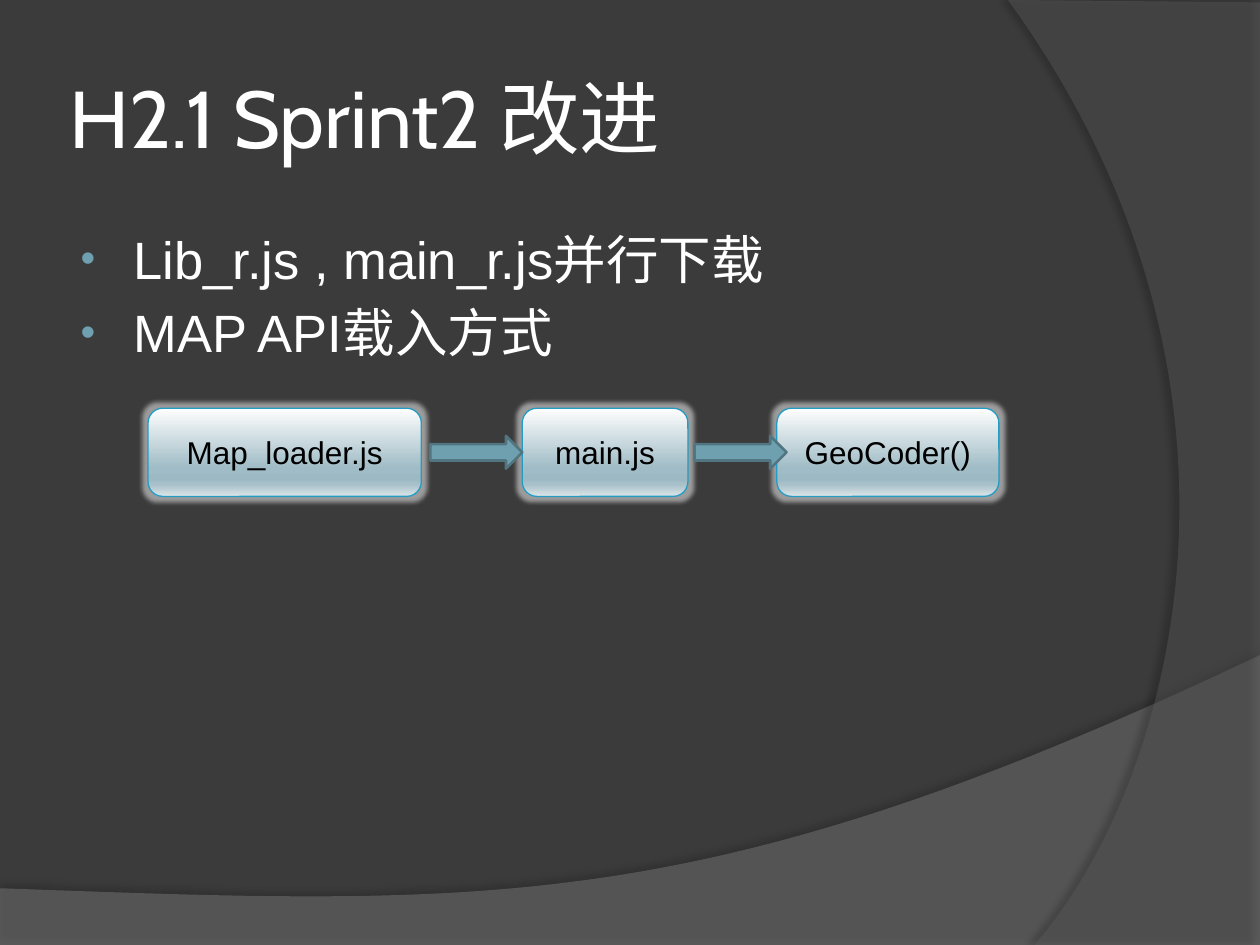
from dataclasses import dataclass

from pptx import Presentation
from pptx.dml.color import RGBColor
from pptx.enum.shapes import MSO_SHAPE as Preset
from pptx.enum.text import MSO_ANCHOR as Anchor, MSO_AUTO_SIZE as AutoSize, PP_ALIGN as Align
from pptx.oxml import parse_xml
from pptx.oxml.ns import nsdecls, qn
from pptx.util import Pt

BACKGROUND = RGBColor(0x3B, 0x3B, 0x3B)
WHITE = RGBColor(0xFF, 0xFF, 0xFF)
BLACK = RGBColor(0, 0, 0)
WAVE_GREY = RGBColor(0x7F, 0x7F, 0x7F)
ARC_GREY = RGBColor(0x5E, 0x5E, 0x5E)
ACCENT = RGBColor(0x6E, 0xA0, 0xB0)
ARROW_LINE = RGBColor(0x51, 0x76, 0x82)
BOX_LINE = RGBColor(0x23, 0x9B, 0xC2)
BOX_STOPS = (
    (0, RGBColor(0xFE, 0xFE, 0xFE)),
    (68, RGBColor(0xA0, 0xBC, 0xC6)),
    (81, RGBColor(0x9C, 0xB9, 0xC4)),
    (86, RGBColor(0xA7, 0xC0, 0xC9)),
    (100, RGBColor(0xDA, 0xE4, 0xE7)),
)
CURVE_STEPS = 60
BOX_TOP, BOX_HEIGHT = 233.3, 50.4
ARROW_TOP, ARROW_WIDTH, ARROW_HEIGHT = 249.1, 52.6, 18.7

Point = tuple[float, float]


@dataclass
class Swoosh:
    """Background area: straight corners, then a Bezier curve back to the start."""
    corners: list[Point]
    curve: tuple[Point, Point, Point]
    color: RGBColor
    opacity: int
    shadow_opacity: int
    shadow_distance: float
    shadow_angle: int


@dataclass
class Box:
    text: str
    left: float
    width: float


SWOOSHES = [
    Swoosh([(0, 540), (720, 540), (720, 374.4)],
           ((402.5, 524.9), (281.5, 517.7), (0, 507.6)), WAVE_GREY, 45, 35, 3.5, 270),
    Swoosh([(720, 1.4), (720, 540), (591.1, 540)],
           ((673.2, 445.7), (733, 216), (576, 0)), ARC_GREY, 40, 45, 4, 180),
]
BOXES = [
    Box("Map_loader.js", 84.6, 156.2),
    Box("main.js", 298.4, 94.7),
    Box("GeoCoder()", 443.9, 126.9),
]
ARROW_LEFTS = [245.9, 396.9]
BULLETS = ["Lib_r.js , main_r.js并行下载", "MAP API载入方式"]


def color_xml(color: RGBColor, opacity: int = 100) -> str:
    return f'<a:srgbClr val="{color}"><a:alpha val="{opacity * 1000}"/></a:srgbClr>'


def set_effect(shape, effect: str) -> None:
    shape.shadow.inherit = False
    effects = shape._element.spPr.find(qn("a:effectLst"))
    effects.append(parse_xml(effect))


def format_font(run, **values) -> None:
    run.font.color.rgb = values.pop("color")
    for name, value in values.items():
        setattr(run.font, name, value)


def place(shape, left: float, top: float, width: float, height: float) -> None:
    values = {"left": left, "top": top, "width": width, "height": height}
    for name, value in values.items():
        setattr(shape, name, Pt(value))


def bezier(start: Point, first: Point, second: Point, end: Point) -> list[Point]:
    points = []
    for step in range(1, CURVE_STEPS + 1):
        t = step / CURVE_STEPS
        weights = ((1 - t) ** 3, 3 * t * (1 - t) ** 2, 3 * t * t * (1 - t), t ** 3)
        controls = (start, first, second, end)
        points.append(tuple(sum(w * p[axis] for w, p in zip(weights, controls))
                            for axis in (0, 1)))
    return points


def draw_swoosh(slide, swoosh: Swoosh) -> None:
    outline = swoosh.corners + bezier(swoosh.corners[-1], *swoosh.curve)
    points = [(Pt(x), Pt(y)) for x, y in outline]
    builder = slide.shapes.build_freeform(*points[0])
    builder.add_line_segments(points[1:], close=True)
    shape = builder.convert_to_shape()
    shape.fill.solid()
    shape.fill.fore_color.rgb = swoosh.color
    fill_color = shape._element.spPr.find(qn("a:solidFill"))[0]
    fill_color.append(parse_xml(f'<a:alpha {nsdecls("a")} val="{swoosh.opacity * 1000}"/>'))
    shape.line.fill.background()
    set_effect(shape, f'<a:outerShdw {nsdecls("a")} blurRad="{Pt(4)}" '
                      f'dist="{Pt(swoosh.shadow_distance)}" dir="{swoosh.shadow_angle * 60000}" '
                      f'algn="ctr" rotWithShape="0">'
                      f'{color_xml(BLACK, swoosh.shadow_opacity)}</a:outerShdw>')
    slide.shapes.title.element.addprevious(shape.element)


def draw_preset(slide, preset, left: float, top: float, width: float, height: float,
                line_color: RGBColor, line_width: float):
    shape = slide.shapes.add_shape(preset, Pt(left), Pt(top), Pt(width), Pt(height))
    shape.line.color.rgb = line_color
    shape.line.width = Pt(line_width)
    shape.shadow.inherit = False
    return shape


def draw_box(slide, box: Box) -> None:
    shape = draw_preset(slide, Preset.ROUNDED_RECTANGLE, box.left, BOX_TOP,
                        box.width, BOX_HEIGHT, BOX_LINE, 0.75)
    shape.fill.gradient()
    shape.fill.gradient_angle = 270
    stops = shape._element.spPr.find(qn("a:gradFill")).find(qn("a:gsLst"))
    for stop in list(stops):
        stops.remove(stop)
    for position, color in BOX_STOPS:
        stops.append(parse_xml(f'<a:gs {nsdecls("a")} pos="{position * 1000}">'
                               f'{color_xml(color)}</a:gs>'))
    set_effect(shape, f'<a:glow {nsdecls("a")} rad="{Pt(5.5)}">{color_xml(WHITE, 50)}</a:glow>')
    shape.text_frame.vertical_anchor = Anchor.MIDDLE
    paragraph = shape.text_frame.paragraphs[0]
    paragraph.alignment = Align.CENTER
    run = paragraph.add_run()
    run.text = box.text
    format_font(run, size=Pt(18), name="Arial", color=BLACK)


def draw_arrow(slide, left: float) -> None:
    shape = draw_preset(slide, Preset.RIGHT_ARROW, left, ARROW_TOP,
                        ARROW_WIDTH, ARROW_HEIGHT, ARROW_LINE, 1.5)
    shape.fill.solid()
    shape.fill.fore_color.rgb = ACCENT


def fill_title(title) -> None:
    place(title, 36, 21.6, 588.2, 90)
    frame = title.text_frame
    margins = dict.fromkeys(("margin_left", "margin_right", "margin_top", "margin_bottom"), Pt(3.6))
    for name, value in margins.items():
        setattr(frame, name, value)
    frame.auto_size = AutoSize.NONE
    frame.vertical_anchor = Anchor.MIDDLE
    paragraph = frame.paragraphs[0]
    paragraph.alignment = Align.LEFT
    run = paragraph.add_run()
    run.text = "H2.1 Sprint2 改进"
    format_font(run, size=Pt(46), name="Cabin", color=WHITE)


def fill_body(body) -> None:
    place(body, 36, 126, 588.2, 356.4)
    frame = body.text_frame
    frame.auto_size = AutoSize.NONE
    frame.text = "\n".join(BULLETS)
    for paragraph in frame.paragraphs:
        format_font(paragraph.runs[0], size=Pt(30), name="Arial", color=WHITE)
        properties = paragraph._p.get_or_add_pPr()
        properties.set("marL", str(Pt(33.1)))
        properties.set("indent", str(Pt(-30.2)))
        for bullet in (f'<a:buClr {nsdecls("a")}>{color_xml(ACCENT)}</a:buClr>',
                       f'<a:buSzPct {nsdecls("a")} val="80000"/>',
                       f'<a:buFont {nsdecls("a")} typeface="Arial"/>',
                       f'<a:buChar {nsdecls("a")} char="•"/>'):
            properties.append(parse_xml(bullet))


def main() -> None:
    presentation = Presentation()
    presentation.slide_width, presentation.slide_height = Pt(720), Pt(540)
    slide = presentation.slides.add_slide(presentation.slide_layouts[1])
    slide.background.fill.solid()
    slide.background.fill.fore_color.rgb = BACKGROUND
    for swoosh in SWOOSHES:
        draw_swoosh(slide, swoosh)
    fill_title(slide.shapes.title)
    fill_body(slide.placeholders[1])
    for box in BOXES:
        draw_box(slide, box)
    for left in ARROW_LEFTS:
        draw_arrow(slide, left)
    presentation.save("out.pptx")


if __name__ == "__main__":
    main()
